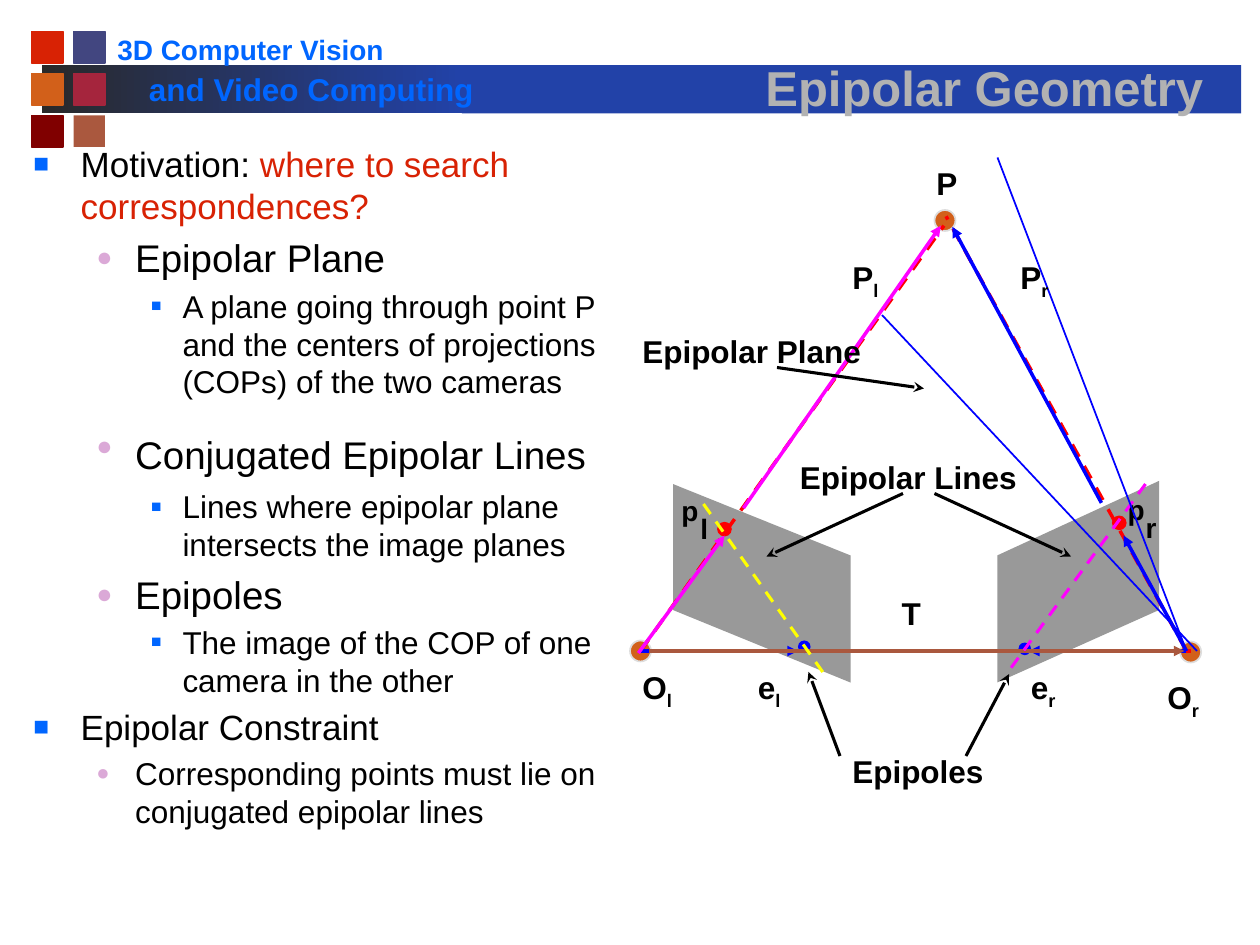
from dataclasses import dataclass
from lxml.etree import SubElement as Sub
from pptx import Presentation
from pptx.dml.color import RGBColor as RGB
from pptx.enum.dml import MSO_LINE
from pptx.enum.shapes import MSO_CONNECTOR as Conn, MSO_SHAPE as Kind
from pptx.enum.text import MSO_ANCHOR as Anchor, MSO_AUTO_SIZE as Auto, PP_ALIGN as Align
from pptx.oxml.ns import qn
from pptx.util import Pt

PX = 7620  # EMU in one px, 120 px to the inch


@dataclass(frozen=True)
class Theme:
    face: str = "Arial"
    black: str = "000000"
    blue: str = "0066FF"
    bar: str = "2242A8"
    dark: str = "292929"
    scarlet: str = "D82204"
    orange: str = "D2601A"
    brown: str = "AA583E"
    pink: str = "DBA9D7"
    silver: str = "B2B2B2"
    pane: str = "999999"
    rim: str = "DDDDDD"
    red: str = "FF0000"
    ray: str = "0000FF"
    magenta: str = "FF00FF"
    yellow: str = "FFFF00"
    title: int = 28
    topic: int = 22
    point: int = 20
    text: int = 18
    small: int = 16
    gap: int = 33


T = Theme()

# Bullet levels: mark, colour, size %, text indent, hanging
LEVELS = [("■", T.blue, 75, 45, 45),
          ("●", T.pink, 70, 97, 37),
          ("■", T.blue, 55, 142, 30)]


def put(obj, **vals):
    for key, val in vals.items():
        setattr(obj, key, val)


def px(*vals):
    return [val * PX for val in vals]


def color(hue):
    return RGB.from_string(hue)


def write(para, text, size, hue=T.black, bold=False):
    run = para.add_run()
    run.text = text
    put(run.font, name=T.face, size=Pt(size), bold=bold)
    run.font.color.rgb = color(hue)
    return run


def paint(shape, hue, rim=None):
    shape.shadow.inherit = False
    shape.fill.solid()
    shape.fill.fore_color.rgb = color(hue)
    if rim:
        shape.line.color.rgb = color(rim)
        shape.line.width = Pt(1)
    else:
        shape.line.fill.background()


def block(slide, kind, box, hue, rim=None):
    shape = slide.shapes.add_shape(kind, *px(*box))
    paint(shape, hue, rim)
    return shape


def disc(slide, x, y, size, hue, rim=None):
    block(slide, Kind.OVAL, (x - size // 2, y - size // 2, size, size), hue, rim)


def plane(slide, points, hue):
    pen = slide.shapes.build_freeform(*points[0], scale=PX)
    pen.add_line_segments(points[1:], close=True)
    paint(pen.convert_to_shape(), hue)


def line(slide, ends, hue, width, dash=False, head=None):
    link = slide.shapes.add_connector(Conn.STRAIGHT, *px(*ends))
    link.line.color.rgb = color(hue)
    link.line.width = Pt(width)
    if dash:
        link.line.dash_style = MSO_LINE.DASH
    props = link.element.spPr
    if head:
        Sub(props.find(qn("a:ln")), qn("a:tailEnd"), type=head)
    Sub(props, qn("a:effectLst"))


def label(slide, box, text, sub="", size=T.text, hue=T.black, inset=True):
    frame = slide.shapes.add_textbox(*px(*box)).text_frame
    frame.word_wrap = True
    if not inset:
        put(frame, margin_left=0, margin_right=0, margin_top=0, margin_bottom=0)
    para = frame.paragraphs[0]
    write(para, text, size, hue, True)
    if sub:
        low = write(para, sub, size, hue, True)
        low.font._element.set("baseline", "-25000")


def bullet(para, level):
    mark, hue, scale, left, hang = LEVELS[level]
    para.level = level
    props = para._p.get_or_add_pPr()
    props.set("marL", str(left * PX))
    props.set("indent", str(-hang * PX))
    Sub(Sub(props, qn("a:spcBef")), qn("a:spcPct"), val="20000")
    Sub(Sub(props, qn("a:buClr")), qn("a:srgbClr"), val=hue)
    Sub(props, qn("a:buSzPct"), val=str(scale * 1000))
    Sub(props, qn("a:buFont"), typeface=T.face)
    Sub(props, qn("a:buChar"), char=mark)


def header(slide):
    # Bars behind the squares
    fade = block(slide, Kind.RECTANGLE, (40, 62, 400, 46), T.bar)
    fade.fill.gradient()
    fade.fill.gradient_angle = 0
    for stop, hue, spot in zip(fade.fill.gradient_stops, (T.dark, T.bar), (0, 1)):
        stop.color.rgb = color(hue)
        stop.position = spot
    block(slide, Kind.RECTANGLE, (440, 62, 742, 46), T.bar)
    # Squares, row by row
    hues = (T.scarlet, "424680", T.orange, "A5253D", "800000", T.brown)
    for i, hue in enumerate(hues):
        row, col = divmod(i, 2)
        rim = None if hue == T.brown else hue
        block(slide, Kind.RECTANGLE, (30 + 40 * col, 30 + 40 * row, 30, 30), hue, rim)
    label(slide, (100, 25, 290, 44), "3D Computer Vision", size=T.small, hue=T.blue)
    label(slide, (130, 61, 340, 48), "and Video Computing", hue=T.blue)
    # Title, in front of the bar
    title = slide.shapes.title
    slide.shapes.element.append(title.element)
    left, top, width, height = px(680, 37, 515, 80)
    put(title, left=left, top=top, width=width, height=height)
    put(title.text_frame, vertical_anchor=Anchor.BOTTOM, auto_size=Auto.NONE)
    para = title.text_frame.paragraphs[0]
    para.alignment = Align.CENTER
    run = write(para, "Epipolar Geometry", T.title, T.silver, True)
    glow = run.font._element.find(qn("a:solidFill"))
    effect = glow.makeelement(qn("a:effectLst"))
    glow.addnext(effect)
    cast = Sub(effect, qn("a:outerShdw"), dist="35921", dir="2700000")
    Sub(cast, qn("a:srgbClr"), val=T.black)


def outline(slide):
    items = [
        (0, [("Motivation: ", T.point), ("where to search correspondences?", T.point, T.scarlet)]),
        (1, [("Epipolar Plane", T.topic)]),
        (2, [("A plane going through point P and the centers of projections (COPs) "
              "of the two cameras", T.text)]),
        (1, [("Conjugated Epipolar Lines", T.topic), (" ", T.gap)]),
        (2, [("Lines where epipolar plane intersects the image planes", T.text)]),
        (1, [("Epipoles", T.topic)]),
        (2, [("The image of the COP of one camera in the other", T.text)]),
        (0, [("Epipolar Constraint", T.point)]),
        (1, [("Corresponding points must lie on conjugated epipolar lines", T.text)]),
    ]
    frame = slide.shapes.add_textbox(*px(20, 130, 560, 730)).text_frame
    frame.word_wrap = True
    for i, (level, runs) in enumerate(items):
        para = frame.add_paragraph() if i else frame.paragraphs[0]
        bullet(para, level)
        for run in runs:
            write(para, *run)


def diagram(slide):
    # Image planes, image points and their names
    plane(slide, [(641, 461), (810, 529), (810, 650), (641, 581)], T.pane)
    plane(slide, [(1104, 458), (950, 529), (950, 650), (1104, 581)], T.pane)
    for x, y in ((690, 504), (1066, 498)):
        disc(slide, x, y, 14, T.red)
    for x, y, text in ((649, 470, "p"), (667, 487, "l"), (1074, 469, "p"), (1091, 486, "r")):
        label(slide, (x, y, 20, 32), text, size=T.small, inset=False)
    # Camera centres, scene point and epipoles
    for x, y in ((610, 620), (1134, 621), (900, 210)):
        disc(slide, x, y, 20, T.orange, T.rim)
    line(slide, (610, 620, 1140, 620), T.red, 1.75, True)
    for x, y in ((766, 616), (976, 618)):
        disc(slide, x, y, 12, T.ray)
    # Rays
    for ends in ((610, 620, 899, 215), (1130, 620, 901, 206)):
        line(slide, ends, T.red, 2, True)
    for hue, ends in ((T.ray, (610, 620, 760, 620)), (T.ray, (1130, 620, 980, 620)),
                      (T.magenta, (608, 622, 690, 510)), (T.magenta, (708, 484, 896, 215)),
                      (T.ray, (1130, 620, 1070, 510)), (T.ray, (1049, 479, 907, 216)),
                      (T.brown, (618, 620, 1128, 620))):
        line(slide, ends, hue, 2, head="triangle")
    # Epipolar lines and plane edges
    line(slide, (670, 480, 785, 642), T.yellow, 1.75, True)
    line(slide, (1091, 461, 960, 640), T.magenta, 1.75, True)
    for ends in ((840, 300, 1140, 620), (950, 150, 1130, 620)):
        line(slide, ends, T.ray, 1)
    # Pointers from the names
    for ends in ((740, 350, 880, 370), (860, 470, 730, 530), (890, 470, 1020, 530),
                 (920, 720, 961, 642), (800, 720, 770, 640)):
        line(slide, ends, T.black, 1.75, head="stealth")
    # Names
    for x, y, width, *text in ((880, 150, 70, "P"), (847, 560, 70, "T"),
                               (600, 630, 70, "O", "l"), (1100, 640, 70, "O", "r"),
                               (710, 630, 70, "e", "l"), (970, 630, 70, "e", "r"),
                               (800, 240, 70, "P", "l"), (960, 240, 70, "P", "r"),
                               (600, 310, 250, "Epipolar Plane"),
                               (750, 430, 250, "Epipolar Lines"),
                               (800, 710, 180, "Epipoles")):
        label(slide, (x, y, width, 48), *text)


def main():
    deck = Presentation()
    put(deck, slide_width=1200 * PX, slide_height=900 * PX)
    slide = deck.slides.add_slide(deck.slide_layouts[5])
    header(slide)
    outline(slide)
    diagram(slide)
    deck.save("out.pptx")


if __name__ == "__main__":
    main()
